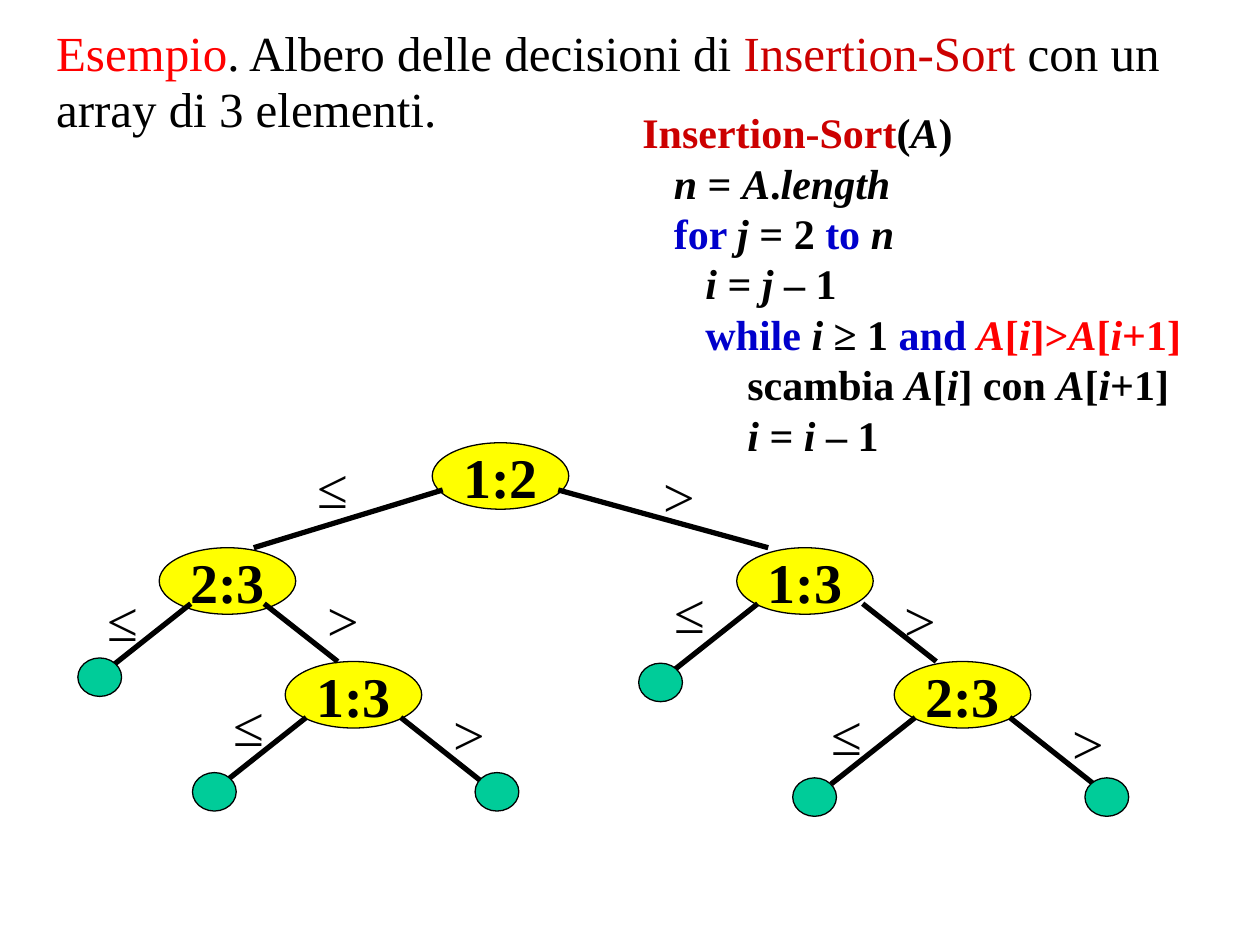
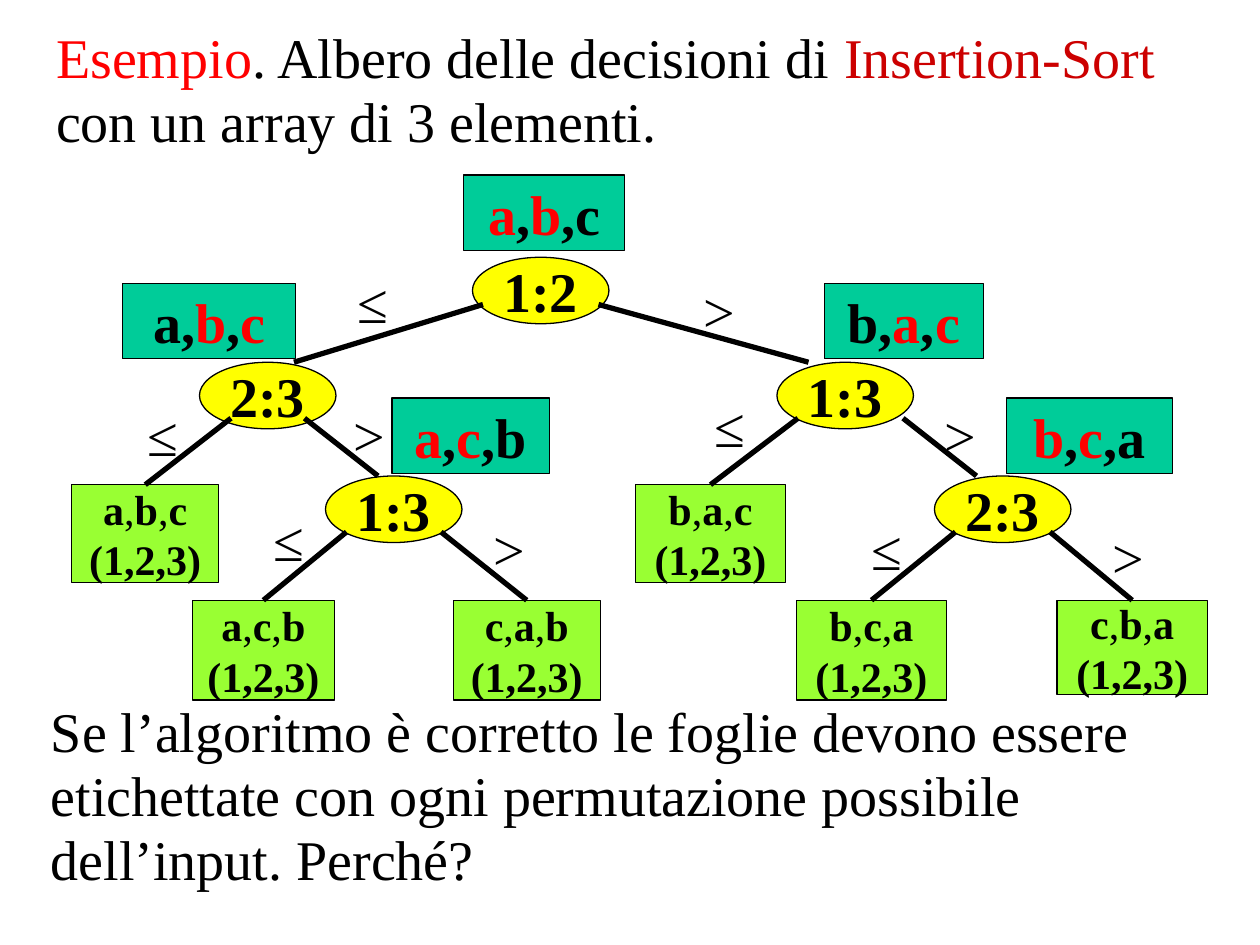
from collections import namedtuple

from lxml import etree
from pptx import Presentation
from pptx.dml.color import RGBColor
from pptx.enum.shapes import MSO_CONNECTOR, MSO_SHAPE
from pptx.enum.text import MSO_ANCHOR, MSO_AUTO_SIZE, PP_ALIGN
from pptx.oxml.ns import qn
from pptx.util import Pt

OVAL = MSO_SHAPE.OVAL
RECTANGLE = MSO_SHAPE.RECTANGLE
STRAIGHT = MSO_CONNECTOR.STRAIGHT
CENTER = PP_ALIGN.CENTER
MIDDLE = MSO_ANCHOR.MIDDLE
GROW = MSO_AUTO_SIZE.SHAPE_TO_FIT_TEXT
TOP_SIDE = 0

FONT = "Times New Roman"
BLACK = "000000"
RED = "FF0000"
DARK_RED = "CC0000"
BLUE = "0000CC"
YELLOW = "FFFF00"
TEAL = "00CC99"
LIME = "99FF33"

PLAIN = {}
VAR = {"italic": True}
KEYWORD = {"color": BLUE}
NAME = {"color": DARK_RED}
TEST = {"color": RED}
TEST_VAR = {"color": RED, "italic": True}

NODE_SIZE = (78, 38)
SIGN_SIZE = (42, 38)
DOT_SIZE = (25, 22)
STATE_HEIGHT = 43

TITLE = [
    ("Esempio", TEST),
    (". Albero delle decisioni di ", PLAIN),
    ("Insertion-Sort", NAME),
    (" con un array di 3 elementi.", PLAIN),
]

QUESTION = (
    "Se l’algoritmo è corretto le foglie devono essere etichettate "
    "con ogni permutazione possibile dell’input. Perché?"
)

PSEUDOCODE = [
    (0, [("Insertion-Sort", NAME), ("(", PLAIN), ("A", VAR), (")", PLAIN)]),
    (18, [("n ", VAR), ("= ", PLAIN), ("A", VAR), (".", PLAIN), ("length", VAR)]),
    (18, [("for ", KEYWORD), ("j ", VAR), ("= 2 ", PLAIN), ("to ", KEYWORD), ("n", VAR)]),
    (36, [("i ", VAR), ("= ", PLAIN), ("j", VAR), (" – 1", PLAIN)]),
    (36, [("while ", KEYWORD), ("i", VAR), (" ≥ 1 ", PLAIN), ("and ", KEYWORD),
          ("A", TEST_VAR), ("[", TEST), ("i", TEST_VAR), ("]>", TEST),
          ("A", TEST_VAR), ("[", TEST), ("i", TEST_VAR), ("+1]", TEST)]),
    (60, [("scambia ", PLAIN), ("A", VAR), ("[", PLAIN), ("i", VAR), ("] con ", PLAIN),
          ("A", VAR), ("[", PLAIN), ("i", VAR), ("+1]", PLAIN)]),
    (60, [("i ", VAR), ("= ", PLAIN), ("i", VAR), (" – 1", PLAIN)]),
]

Node = namedtuple("Node", "comparison x y")
Branch = namedtuple("Branch", "node sign start end sign_at leaf")

NODES = {
    "root": Node("1:2", 0, 0),
    "left": Node("2:3", -156, 60),
    "right": Node("1:3", 174, 60),
    "left_low": Node("1:3", -84, 125),
    "right_low": Node("2:3", 264, 125),
}

BRANCHES = [
    Branch("root", "≤", (6, 27), (-102, 60), (-78, 6), None),
    Branch("root", ">", (72, 27), (192, 60), (120, 11), None),
    Branch("left", "≤", (18, 32), (-30, 70), (-42, 22), 0),
    Branch("left", ">", (60, 32), (102, 65), (84, 22), None),
    Branch("left_low", "≤", (12, 32), (-36, 70), (-42, 17), 1),
    Branch("left_low", ">", (66, 32), (114, 70), (84, 22), 2),
    Branch("right", "≤", (12, 32), (-36, 70), (-48, 17), 3),
    Branch("right", ">", (72, 32), (114, 65), (84, 22), None),
    Branch("right_low", "≤", (12, 32), (-36, 70), (-48, 22), 4),
    Branch("right_low", ">", (66, 32), (114, 70), (90, 27), 5),
]

DOTS = [(44.5, 376), (110, 441.5), (271.5, 441.5), (365, 379), (453, 444.5), (620, 444.5)]

PERMUTATIONS = [
    ("a,b,c", (41, 277, 84, 56)),
    ("a,c,b", (110, 343, 81, 57)),
    ("c,a,b", (259, 343, 84, 57)),
    ("b,a,c", (363, 277, 86, 56)),
    ("b,c,a", (455, 343, 86, 57)),
    ("c,b,a", (604, 343, 86, 54)),
]

STATES = [
    ("a,b,c", "ab", 265, 100, 92),
    ("a,b,c", "bc", 70, 162, 99),
    ("b,a,c", "ac", 471, 162, 91),
    ("a,c,b", "ac", 224, 227.5, 90),
    ("b,c,a", "bc", 575, 227.5, 95),
]


def rgb(hex_color):
    return RGBColor.from_string(hex_color)


def points(lengths):
    return [Pt(length) for length in lengths]


def apply(target, formats):
    for attribute, value in formats.items():
        setattr(target, attribute, value)


def write_runs(paragraph, runs, **base):
    for text, style in runs:
        formats = {"name": FONT, "color": BLACK, "bold": False, **base, **style}
        color = formats.pop("color")
        run = paragraph.add_run()
        run.text = text
        apply(run.font, formats)
        run.font.color.rgb = rgb(color)


def fill_centered(shape, lines, **base):
    frame = shape.text_frame
    apply(frame, {"word_wrap": False, "vertical_anchor": MIDDLE})
    for index, runs in enumerate(lines):
        paragraph = frame.add_paragraph() if index else frame.paragraphs[0]
        paragraph.alignment = CENTER
        write_runs(paragraph, runs, **base)


def add_figure(slide, preset, box, fill):
    figure = slide.shapes.add_shape(preset, *points(box))
    figure.shadow.inherit = False
    figure.fill.solid()
    figure.fill.fore_color.rgb = rgb(fill)
    figure.line.color.rgb = rgb(BLACK)
    figure.line.width = Pt(0.75)
    return figure


def add_passage(slide, box, runs, size):
    frame = slide.shapes.add_textbox(*points(box)).text_frame
    apply(frame, {"word_wrap": True, "auto_size": GROW})
    frame.paragraphs[0].line_spacing = 0.95
    write_runs(frame.paragraphs[0], runs, size=Pt(size))


def add_title(slide, size, height):
    add_passage(slide, (25, 12, 654, height), TITLE, size)


def add_pseudocode(slide):
    frame = slide.shapes.add_textbox(*points((360, 57.5, 333, 211))).text_frame
    apply(frame, {"word_wrap": True, "auto_size": GROW})
    for index, (indent, runs) in enumerate(PSEUDOCODE):
        paragraph = frame.add_paragraph() if index else frame.paragraphs[0]
        paragraph._p.get_or_add_pPr().set("marL", str(Pt(indent)))
        write_runs(paragraph, runs, size=Pt(24), bold=True)


def add_edge(slide, start, end, leaf=None):
    edge = slide.shapes.add_connector(STRAIGHT, *points(start + end))
    edge.line.color.rgb = rgb(BLACK)
    edge.line.width = Pt(3)
    etree.SubElement(edge._element.spPr, qn("a:effectLst"))
    if leaf is not None:
        edge.end_connect(leaf, TOP_SIDE)


def add_sign(slide, sign, position):
    label = slide.shapes.add_textbox(*points(position + SIGN_SIZE))
    fill_centered(label, [[(sign, PLAIN)]], size=Pt(32))


def add_tree(slide, root_x, root_y, leaves=None, sign_shifts=None):
    for node in NODES.values():
        box = (root_x + node.x, root_y + node.y, *NODE_SIZE)
        ellipse = add_figure(slide, OVAL, box, YELLOW)
        fill_centered(ellipse, [[(node.comparison, PLAIN)]], size=Pt(32), bold=True)
    for branch in BRANCHES:
        node = NODES[branch.node]
        shift = (sign_shifts or {}).get((branch.node, branch.sign), 0)

        def place(offset, extra=0):
            return (root_x + node.x + offset[0] + extra, root_y + node.y + offset[1])

        leaf = leaves[branch.leaf] if leaves and branch.leaf is not None else None
        add_edge(slide, place(branch.start), place(branch.end), leaf)
        add_sign(slide, branch.sign, place(branch.sign_at, shift))


def add_permutation(slide, order, box):
    leaf = add_figure(slide, RECTANGLE, box, LIME)
    letters = [(char, {"bold": char != ","}) for char in order]
    fill_centered(leaf, [letters, [("(1,2,3)", PLAIN)]], size=Pt(24), bold=True)
    return leaf


def add_state(slide, order, compared, x, y, width):
    state = add_figure(slide, RECTANGLE, (x, y, width, STATE_HEIGHT), TEAL)
    letters = [(char, TEST if char in compared else PLAIN) for char in order]
    fill_centered(state, [letters], size=Pt(32), bold=True)


def build_algorithm_slide(slide):
    add_title(slide, 28, 72)
    add_tree(slide, 247, 253)
    for position in DOTS:
        add_figure(slide, OVAL, position + DOT_SIZE, TEAL)
    add_pseudocode(slide)


def build_permutations_slide(slide):
    add_passage(slide, (22, 397.5, 672, 118), [(QUESTION, PLAIN)], 32)
    add_title(slide, 32, 81)
    leaves = [add_permutation(slide, order, box) for order, box in PERMUTATIONS]
    add_tree(slide, 270, 147, leaves, {("left", ">"): -8})
    for state in STATES:
        add_state(slide, *state)


def main():
    deck = Presentation()
    deck.slide_width, deck.slide_height = points((720, 540))
    blank = deck.slide_layouts[6]
    for build in (build_algorithm_slide, build_permutations_slide):
        build(deck.slides.add_slide(blank))
    deck.save("out.pptx")


if __name__ == "__main__":
    main()
